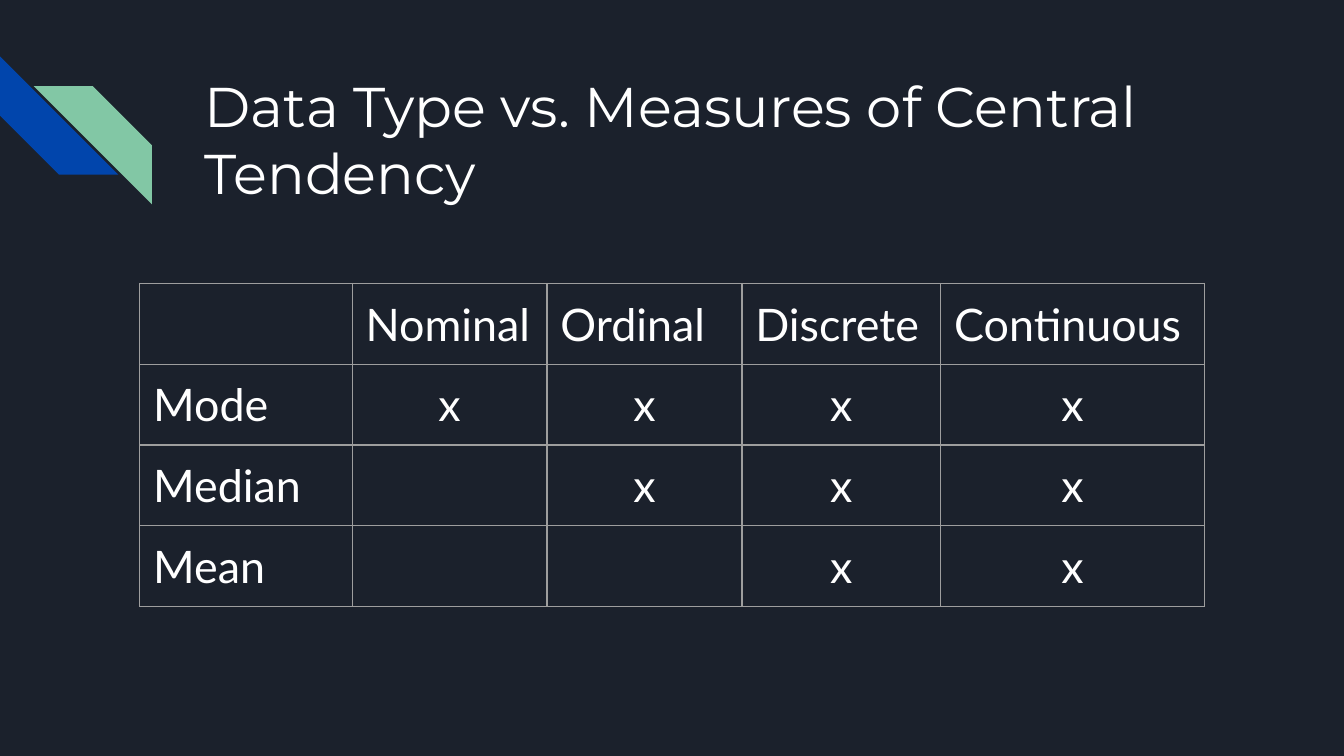
from lxml.etree import SubElement
from pptx import Presentation
from pptx.dml.color import RGBColor
from pptx.enum.shapes import MSO_SHAPE
from pptx.enum.text import MSO_ANCHOR as ANCHOR, MSO_AUTO_SIZE, PP_ALIGN as ALIGN
from pptx.oxml.ns import qn
from pptx.util import Inches, Pt

NAVY = RGBColor(0x1B, 0x21, 0x2C)
BLUE = RGBColor(0x01, 0x45, 0xAC)
GREEN = RGBColor(0x82, 0xC7, 0xA5)
GREY = RGBColor(0x9E, 0x9E, 0x9E)
WHITE = RGBColor(0xFF, 0xFF, 0xFF)

COLS = [1.58, 1.45, 1.45, 1.48, 1.96]
ROW = 0.6
STRIPE = 0.88
PAD = Inches(0.1)


def write(tf, text, font="Lato", size=24, align=ALIGN.LEFT):
    p = tf.paragraphs[0]
    p.alignment = align
    r = p.add_run()
    r.text = text
    r.font.name, r.font.size = font, Pt(size)
    r.font.color.rgb = WHITE


def add_borders(cell, color, width):
    tc_pr = cell._tc.get_or_add_tcPr()
    for side in ("a:lnL", "a:lnR", "a:lnT", "a:lnB"):
        ln = SubElement(tc_pr, qn(side), w=str(Pt(width)))
        fill = SubElement(ln, qn("a:solidFill"))
        SubElement(fill, qn("a:srgbClr"), val=str(color))


# Widescreen slide, 16:9
prs = Presentation()
prs.slide_width = Inches(10)
prs.slide_height = prs.slide_width * 9 // 16
s = prs.slides.add_slide(prs.slide_layouts[5])
s.background.fill.solid()
s.background.fill.fore_color.rgb = NAVY

# Corner stripes
for left, top, angle, color in [(0, 0.42, 270, BLUE), (0.25, 0.64, 90, GREEN)]:
    sp = s.shapes.add_shape(MSO_SHAPE.DIAGONAL_STRIPE, Inches(left), Inches(top),
                            Inches(STRIPE), Inches(STRIPE))
    sp.rotation = angle
    sp.shadow.inherit = False
    sp.fill.solid()
    sp.fill.fore_color.rgb = color
    sp.line.fill.background()

# Title
title = s.shapes.title
title.left, title.top = Inches(1.42), Inches(0.43)
title.width, title.height = Inches(7.7), Inches(1)
tf = title.text_frame
tf.word_wrap = True
tf.auto_size = MSO_AUTO_SIZE.NONE
tf.vertical_anchor = ANCHOR.TOP
tf.margin_left = tf.margin_right = tf.margin_top = tf.margin_bottom = PAD
write(tf, "Data Type vs. Measures of Central Tendency", font="Montserrat", size=30)

# Table: each measure applies from one data type onwards
rows = [
    ["", "Nominal", "Ordinal", "Discrete", "Continuous"],
    ["Mode", "x", "x", "x", "x"],
    ["Median", "", "x", "x", "x"],
    ["Mean", "", "", "x", "x"],
]
table = s.shapes.add_table(len(rows), len(COLS), Inches(1.04), Inches(2.11),
                           Inches(sum(COLS)), Inches(ROW * len(rows))).table
table.first_row = table.horz_banding = False
for column, width in zip(table.columns, COLS):
    column.width = Inches(width)

for i, row in enumerate(rows):
    table.rows[i].height = Inches(ROW)
    for j, text in enumerate(row):
        cell = table.cell(i, j)
        cell.margin_left = cell.margin_right = PAD
        cell.margin_top = cell.margin_bottom = PAD
        add_borders(cell, GREY, 0.75)
        cell.fill.background()
        is_mark = text == "x"
        if is_mark:
            cell.vertical_anchor = ANCHOR.MIDDLE
        if text:
            write(cell.text_frame, text, align=ALIGN.CENTER if is_mark else ALIGN.LEFT)

prs.save("out.pptx")
